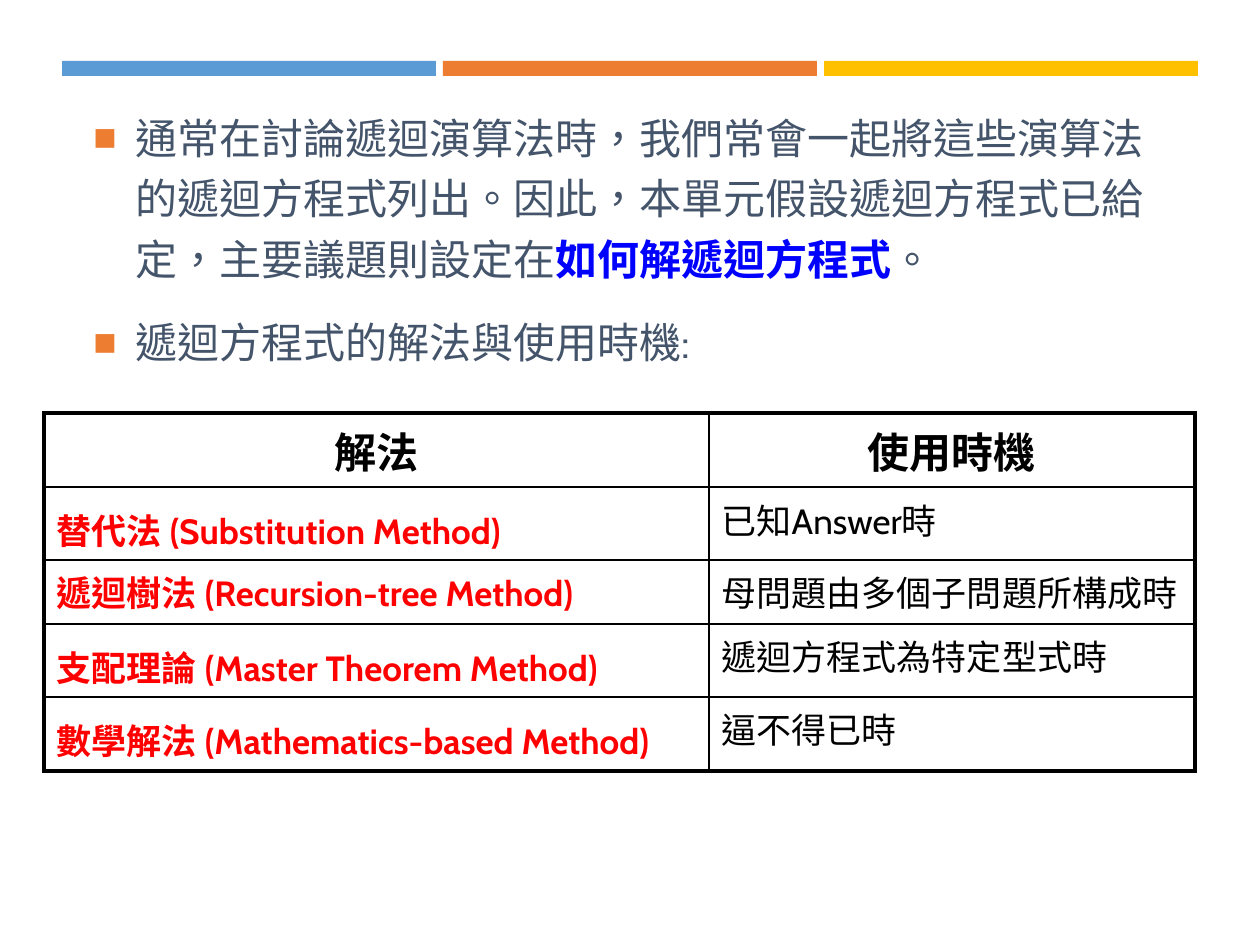
from typing import NamedTuple

from pptx import Presentation
from pptx.dml.color import RGBColor
from pptx.enum.lang import MSO_LANGUAGE_ID
from pptx.enum.shapes import MSO_SHAPE
from pptx.enum.text import PP_ALIGN
from pptx.oxml import parse_xml
from pptx.oxml.ns import nsdecls
from pptx.util import Emu, Pt

PX = 914400 / 126
COLORS = {
    "blue": "5B9BD5", "orange": "ED7D31", "gold": "FFC000", "body": "44546A",
    "emphasis": "0000FF", "method": "FF0000", "black": "000000",
}


class Run(NamedTuple):
    text: str
    color: str
    size: int
    bold: bool = False


class Method(NamedTuple):
    name: str
    occasion: str
    height: int
    line_spacing: float = 1.2
    space_before: int = 6


BAR_COLORS = ["blue", "orange", "gold"]
BAR_LEFT, BAR_TOP, BAR_WIDTH, BAR_HEIGHT, BAR_PITCH = 62, 61, 374, 15, 381

POINTS = [
    [
        Run("通常在討論遞迴演算法時，我們常會一起將這些演算法的遞迴方程式列出。"
            "因此，本單元假設遞迴方程式已給定，主要議題則設定在", "body", 24),
        Run("如何解遞迴方程式", "emphasis", 24, True),
        Run("。", "body", 24),
    ],
    [Run("遞迴方程式的解法與使用時機:", "body", 24)],
]

COLUMN_WIDTHS = [665, 486]
HEADINGS = ["解法", "使用時機"]
HEADING_HEIGHT = 74
METHODS = [
    Method("替代法 (Substitution Method)", "已知Answer時", 73),
    Method("遞迴樹法 (Recursion-tree Method)", "母問題由多個子問題所構成時", 64, 1.0, 4),
    Method("支配理論 (Master Theorem Method)", "遞迴方程式為特定型式時", 73),
    Method("數學解法 (Mathematics-based Method)", "逼不得已時", 74),
]


def px(length: int) -> Emu:
    return Emu(round(length * PX))


def rgb(color: str) -> RGBColor:
    return RGBColor.from_string(COLORS[color])


def write(paragraph, runs: list[Run], **formats) -> None:
    """Add the runs and set the paragraph's format values."""
    for name, value in formats.items():
        setattr(paragraph, name, value)
    for part in runs:
        run = paragraph.add_run()
        run.text = part.text
        font_values = {
            "name": "Cabin", "size": Pt(part.size), "bold": part.bold,
            "language_id": MSO_LANGUAGE_ID.TRADITIONAL_CHINESE,
        }
        for name, value in font_values.items():
            setattr(run.font, name, value)
        run.font.color.rgb = rgb(part.color)


def add_bullet(paragraph) -> None:
    properties = paragraph._p.get_or_add_pPr()
    properties.set("marL", str(px(42)))
    properties.set("indent", str(-px(42)))
    for xml in (
        f'<a:buClr {nsdecls("a")}><a:srgbClr val="{COLORS["orange"]}"/></a:buClr>',
        f'<a:buSzPct {nsdecls("a")} val="92000"/>',
        f'<a:buFont {nsdecls("a")} typeface="Arial"/>',
        f'<a:buChar {nsdecls("a")} char="■"/>',
    ):
        properties.append(parse_xml(xml))


def add_bars(slide) -> None:
    for index, color in enumerate(BAR_COLORS):
        bar = slide.shapes.add_shape(
            MSO_SHAPE.RECTANGLE, px(BAR_LEFT + index * BAR_PITCH), px(BAR_TOP),
            px(BAR_WIDTH), px(BAR_HEIGHT))
        bar.shadow.inherit = False
        bar.fill.solid()
        bar.fill.fore_color.rgb = rgb(color)
        bar.line.fill.background()


def add_points(slide) -> None:
    frame = slide.shapes.add_textbox(px(81), px(96), px(1101), px(712)).text_frame
    frame.word_wrap = True
    for index, runs in enumerate(POINTS):
        paragraph = frame.add_paragraph() if index else frame.paragraphs[0]
        write(paragraph, runs, line_spacing=1.2, space_before=Pt(7.2), space_after=Pt(6))
        add_bullet(paragraph)


def set_borders(cell, outer: dict[str, bool]) -> None:
    """Draw thick lines on the table's outer sides and thin ones inside."""
    properties = cell._tc.get_or_add_tcPr()
    for side, is_outer in outer.items():
        width = Pt(2.25 if is_outer else 1)
        properties.append(parse_xml(
            f'<a:ln{side} {nsdecls("a")} w="{width}"><a:solidFill>'
            f'<a:srgbClr val="{COLORS["black"]}"/></a:solidFill></a:ln{side}>'))


def add_methods_table(slide) -> None:
    heights = [HEADING_HEIGHT] + [method.height for method in METHODS]
    table = slide.shapes.add_table(
        len(heights), len(COLUMN_WIDTHS), px(44), px(413),
        px(sum(COLUMN_WIDTHS)), px(sum(heights))).table
    table.first_row = table.horz_banding = False
    for column, width in zip(table.columns, COLUMN_WIDTHS):
        column.width = px(width)
    for row, height in zip(table.rows, heights):
        row.height = px(height)

    for column, heading in enumerate(HEADINGS):
        write(table.cell(0, column).text_frame.paragraphs[0],
              [Run(heading, "black", 24, True)],
              alignment=PP_ALIGN.CENTER, space_before=Pt(4.8))
    for row, method in enumerate(METHODS, start=1):
        write(table.cell(row, 0).text_frame.paragraphs[0],
              [Run(method.name, "method", 20, True)],
              line_spacing=method.line_spacing, space_before=Pt(method.space_before))
        write(table.cell(row, 1).text_frame.paragraphs[0],
              [Run(method.occasion, "black", 20)], space_before=Pt(4))

    last_row, last_column = len(heights) - 1, len(COLUMN_WIDTHS) - 1
    for row in range(len(heights)):
        for column in range(len(COLUMN_WIDTHS)):
            cell = table.cell(row, column)
            set_borders(cell, {"L": column == 0, "R": column == last_column,
                               "T": row == 0, "B": row == last_row})
            cell.fill.background()


def main() -> None:
    presentation = Presentation()
    presentation.slide_width, presentation.slide_height = px(1260), px(945)
    slide = presentation.slides.add_slide(presentation.slide_layouts[6])
    add_bars(slide)
    add_points(slide)
    add_methods_table(slide)
    presentation.save("out.pptx")


if __name__ == "__main__":
    main()
